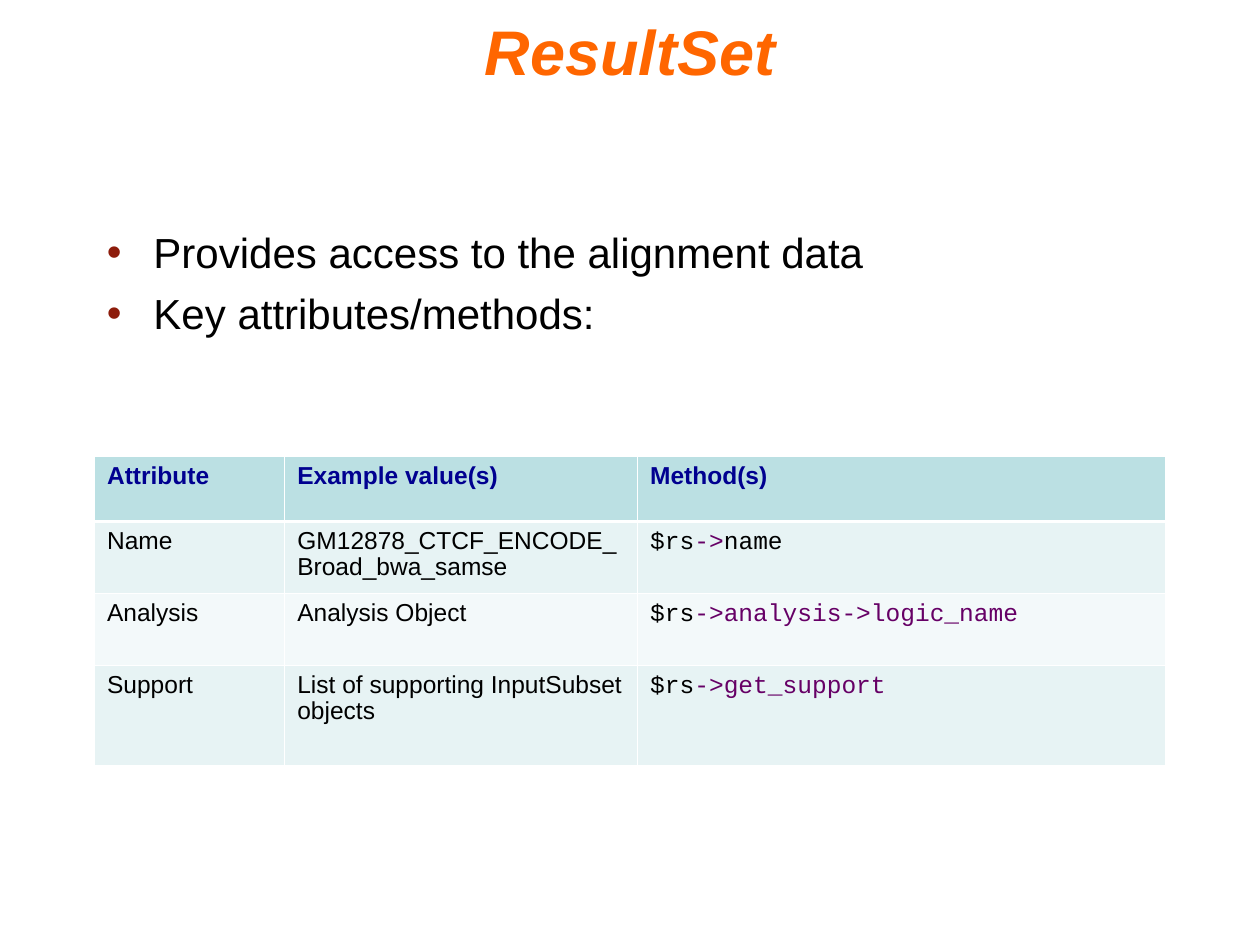
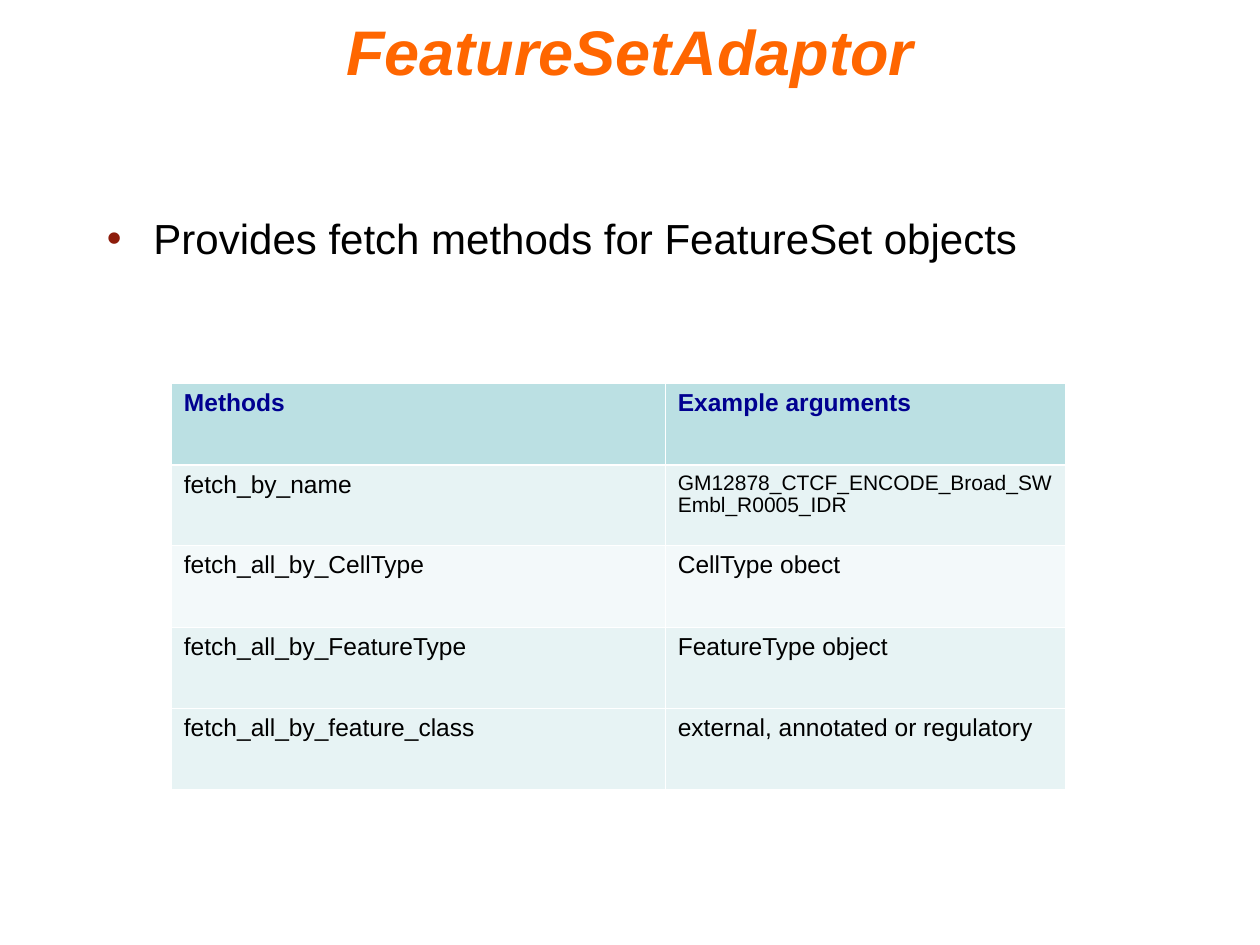
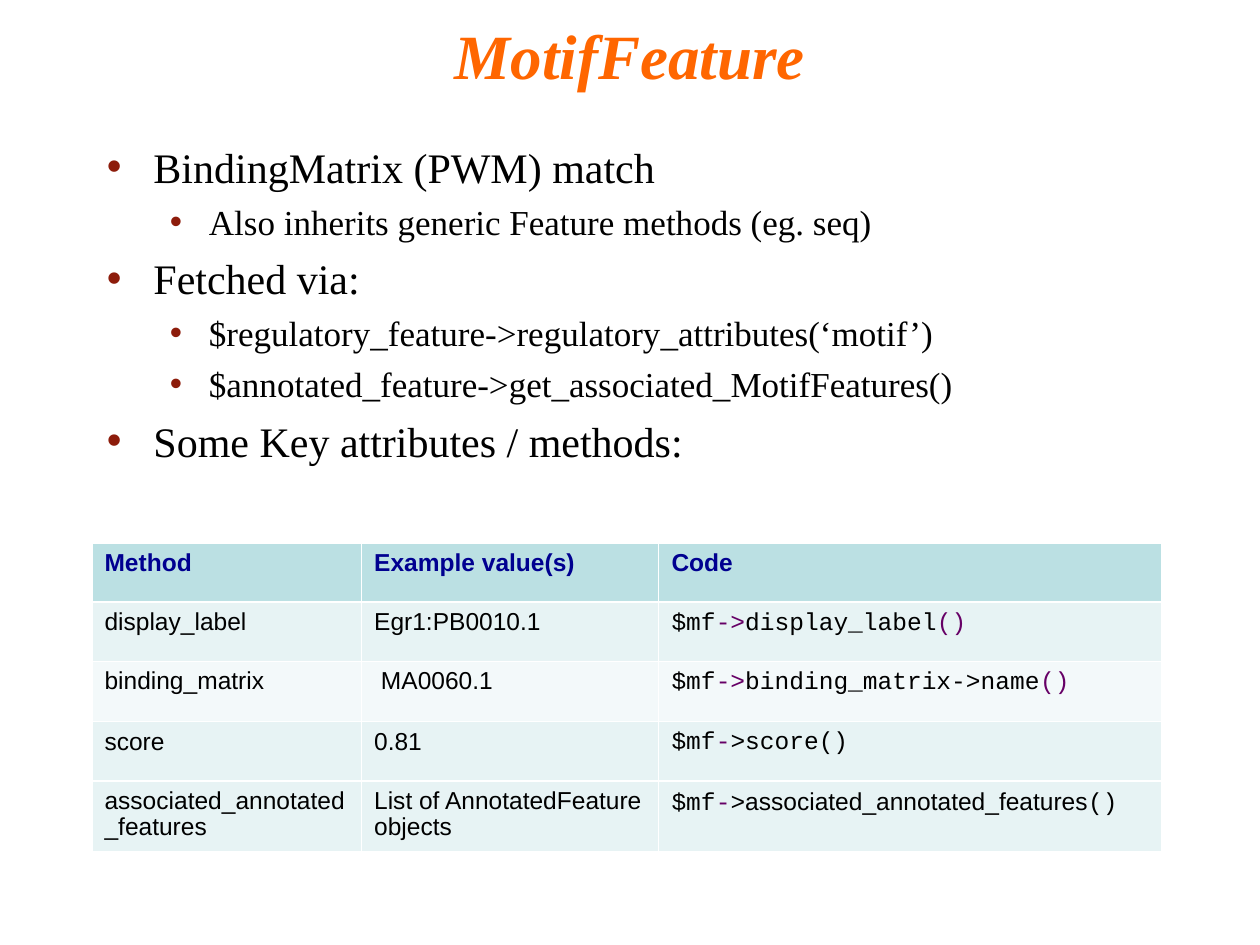
import dataclasses
from typing import Sequence, Union

import lxml.etree
import pptx
import pptx.dml.color
import pptx.enum.text
import pptx.oxml.ns
import pptx.util

PX = 9144
COLORS = {
    "title": "FF6600",
    "text": "000000",
    "bullet": "8D1C0B",
    "heading": "000090",
    "code": "660066",
    "header_fill": "BBE0E3",
    "row_fill": "E7F3F4",
    "band_fill": "F3F9FA",
    "border": "FFFFFF",
}
SANS, SERIF, MONO = "Arial", "Times New Roman", "Courier New"
LEFT, WIDTH = 75, 850
BAND_ROW = 2
THIN, THICK = 0.75, 1.5


@dataclasses.dataclass(frozen=True)
class Bullet:
    text: str
    level: int = 0


@dataclasses.dataclass(frozen=True)
class BulletLevel:
    margin: int
    hanging: int
    size: int
    space_before: int


@dataclasses.dataclass(frozen=True)
class Span:
    text: str
    color: str = "text"
    font: str = MONO


@dataclasses.dataclass(frozen=True)
class Entry:
    spans: tuple[Span, ...]
    size: int = 14
    line_spacing: float = 0.94


Cell = Union[str, Entry]


@dataclasses.dataclass(frozen=True)
class Grid:
    left: int
    top: int
    columns: Sequence[int]
    rows: Sequence[int]
    cells: Sequence[Sequence[Cell]]


@dataclasses.dataclass(frozen=True)
class Topic:
    title: str
    title_top: int
    font: str
    bullets_top: int
    bullets_height: int
    bullets: Sequence[Bullet]
    grid: Grid


LEVELS = (BulletLevel(37, 37, 24, 6), BulletLevel(81, 31, 20, 5))


def code(*spans: Span) -> Entry:
    return Entry(spans, line_spacing=0.96)


def accent(text: str) -> Span:
    return Span(text, "code")


RS, MF = Span("$rs"), Span("$mf")

TOPICS = (
    Topic(
        "ResultSet", 5, SANS, 175, 475,
        (Bullet("Provides access to the alignment data"), Bullet("Key attributes/methods:")),
        Grid(75, 362, (151, 280, 419), (52, 57, 57, 80), (
            ("Attribute", "Example value(s)", "Method(s)"),
            ("Name", "GM12878_CTCF_ENCODE_Broad_bwa_samse", code(RS, accent("->"), Span("name"))),
            ("Analysis", "Analysis Object", code(RS, accent("->analysis->logic_name"))),
            ("Support", "List of supporting InputSubset objects", code(RS, accent("->get_support"))),
        )),
    ),
    Topic(
        "FeatureSetAdaptor", 5, SANS, 164, 114,
        (Bullet("Provides fetch methods for FeatureSet objects"),),
        Grid(136, 304, (392, 318), (65, 64, 65, 64, 65), (
            ("Methods", "Example arguments"),
            ("fetch_by_name",
             Entry((Span("GM12878_CTCF_ENCODE_Broad_SWEmbl_R0005_IDR", font=SANS),), size=12)),
            ("fetch_all_by_CellType", "CellType obect"),
            ("fetch_all_by_FeatureType", "FeatureType object"),
            ("fetch_all_by_feature_class", "external, annotated or regulatory"),
        )),
    ),
    Topic(
        "MotifFeature", 8, SERIF, 107, 475,
        (
            Bullet("BindingMatrix (PWM) match"),
            Bullet("Also inherits generic Feature methods (eg. seq)", 1),
            Bullet("Fetched via:"),
            Bullet("$regulatory_feature->regulatory_attributes(‘motif’)", 1),
            Bullet("$annotated_feature->get_associated_MotifFeatures()", 1),
            Bullet("Some Key attributes / methods:"),
        ),
        Grid(73, 431, (214, 236, 399), (47, 47, 48, 47, 56), (
            ("Method", "Example value(s)", "Code"),
            ("display_label", "Egr1:PB0010.1",
             code(MF, accent("->"), Span("display_label"), accent("()"))),
            ("binding_matrix", " MA0060.1",
             code(MF, accent("->"), Span("binding_matrix->name"), accent("()"))),
            ("score", "0.81", code(MF, accent("-"), Span(">score()"))),
            ("associated_annotated_features", "List of AnnotatedFeature objects",
             code(MF, accent("-"), Span(">"),
                  Span("associated_annotated_features", font=SANS), Span("()"))),
        )),
    ),
)


def px(length: int) -> int:
    return pptx.util.Emu(length * PX)


def rgb(name: str) -> pptx.dml.color.RGBColor:
    return pptx.dml.color.RGBColor.from_string(COLORS[name])


def add_element(parent, tag: str, **attributes: str):
    element = lxml.etree.SubElement(parent, pptx.oxml.ns.qn(tag))
    for key, value in attributes.items():
        element.set(key, value)
    return element


def set_font(font, name: str, size: int, color: str, bold: bool = False, italic: bool = False) -> None:
    font.name = name
    font.size = pptx.util.Pt(size)
    font.color.rgb = rgb(color)
    font.bold = bold
    font.italic = italic


def add_text_frame(slide, top: int, height: int):
    frame = slide.shapes.add_textbox(px(LEFT), px(top), px(WIDTH), px(height)).text_frame
    frame.word_wrap = True
    return frame


def draw_title(slide, topic: Topic) -> None:
    paragraph = add_text_frame(slide, topic.title_top, 100).paragraphs[0]
    paragraph.text = topic.title
    paragraph.alignment = pptx.enum.text.PP_ALIGN.CENTER
    set_font(paragraph.font, topic.font, 36, "title", bold=True, italic=True)


def draw_bullets(slide, topic: Topic) -> None:
    frame = add_text_frame(slide, topic.bullets_top, topic.bullets_height)
    for index, bullet in enumerate(topic.bullets):
        level = LEVELS[bullet.level]
        paragraph = frame.add_paragraph() if index else frame.paragraphs[0]
        paragraph.text = bullet.text
        paragraph.level = bullet.level
        if index:
            paragraph.space_before = pptx.util.Pt(level.space_before)
        properties = paragraph._p.get_or_add_pPr()
        properties.set("marL", str(px(level.margin)))
        properties.set("indent", str(-px(level.hanging)))
        add_element(add_element(properties, "a:buClr"), "a:srgbClr", val=COLORS["bullet"])
        add_element(properties, "a:buFont", typeface=SANS)
        add_element(properties, "a:buChar", char="•")
        set_font(paragraph.font, topic.font, level.size, "text")


def set_borders(cell, row: int) -> None:
    widths = {
        "a:lnL": THIN,
        "a:lnR": THIN,
        "a:lnT": THICK if row == 1 else THIN,
        "a:lnB": THICK if row == 0 else THIN,
    }
    properties = cell._tc.get_or_add_tcPr()
    for tag, width in widths.items():
        line = add_element(properties, tag, w=str(pptx.util.Pt(width)))
        add_element(add_element(line, "a:solidFill"), "a:srgbClr", val=COLORS["border"])


def write_entry(paragraph, content: Cell, header: bool) -> None:
    if isinstance(content, str):
        content = Entry((Span(content, "heading" if header else "text", SANS),))
    paragraph.line_spacing = content.line_spacing
    uniform = len(content.spans) == 1
    for span in content.spans:
        run = paragraph.add_run()
        run.text = span.text
        set_font((paragraph if uniform else run).font, span.font, content.size, span.color, bold=header)


def draw_grid(slide, grid: Grid) -> None:
    table = slide.shapes.add_table(
        len(grid.rows), len(grid.columns), px(grid.left), px(grid.top),
        px(sum(grid.columns)), px(sum(grid.rows)),
    ).table
    for column, width in zip(table.columns, grid.columns):
        column.width = px(width)
    for row, height in zip(table.rows, grid.rows):
        row.height = px(height)
    fills = {0: "header_fill", BAND_ROW: "band_fill"}
    for row, contents in enumerate(grid.cells):
        for column, content in enumerate(contents):
            cell = table.cell(row, column)
            cell.margin_left = cell.margin_right = px(10)
            cell.margin_top, cell.margin_bottom = px(6), px(5)
            set_borders(cell, row)
            cell.fill.solid()
            cell.fill.fore_color.rgb = rgb(fills.get(row, "row_fill"))
            write_entry(cell.text_frame.paragraphs[0], content, row == 0)


def main() -> None:
    presentation = pptx.Presentation()
    presentation.slide_width, presentation.slide_height = px(1000), px(750)
    for topic in TOPICS:
        slide = presentation.slides.add_slide(presentation.slide_layouts[6])
        draw_title(slide, topic)
        draw_bullets(slide, topic)
        draw_grid(slide, topic.grid)
    presentation.save("out.pptx")


if __name__ == "__main__":
    main()
